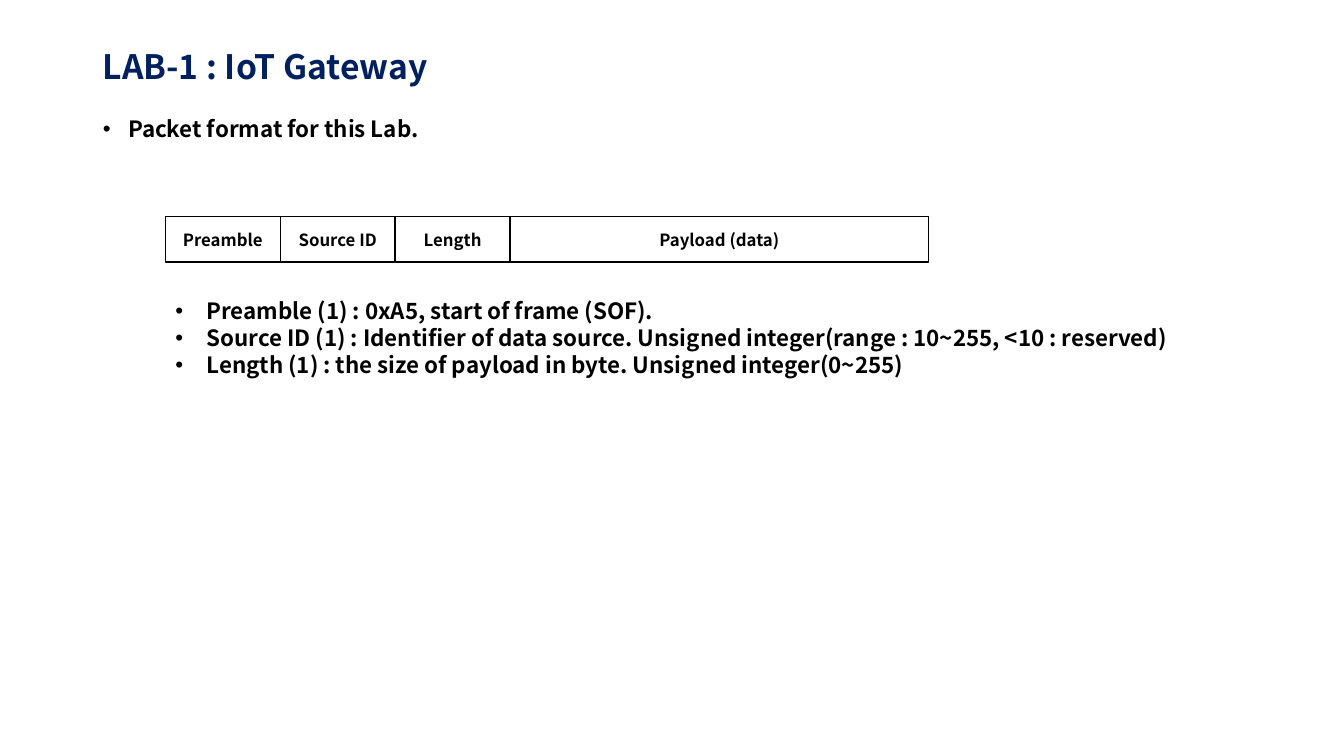
from lxml import etree
from pptx import Presentation
from pptx.dml.color import RGBColor
from pptx.enum.shapes import MSO_SHAPE
from pptx.enum.text import MSO_ANCHOR, MSO_AUTO_SIZE, PP_ALIGN
from pptx.oxml.ns import qn
from pptx.util import Inches, Pt

RECTANGLE = MSO_SHAPE.RECTANGLE
MIDDLE, TOP = MSO_ANCHOR.MIDDLE, MSO_ANCHOR.TOP
LEFT, CENTER = PP_ALIGN.LEFT, PP_ALIGN.CENTER
NO_FIT, GROW = MSO_AUTO_SIZE.NONE, MSO_AUTO_SIZE.SHAPE_TO_FIT_TEXT

FONT = "Noto Sans CJK KR"
COLORS = {"title": "002060", "text": "000000", "line": "000000", "field": "FFFFFF"}

SLIDE_W, SLIDE_H = 13.33, 7.5
MARGIN = 0.92
CONTENT_W = SLIDE_W - 2 * MARGIN
PACKET_LEFT = 1.64
BYTE_W = 1.14

# Each field with its width in one-byte columns
PACKET_FIELDS = [("Preamble", 1), ("Source ID", 1), ("Length", 1), ("Payload (data)", 3.64)]
FIELD_NOTES = [
    "Preamble (1) : 0xA5, start of frame (SOF).",
    "Source ID (1) : Identifier of data source. Unsigned integer(range : 10~255, <10 : reserved)",
    "Length (1) : the size of payload in byte. Unsigned integer(0~255)",
]


def color(role):
    return RGBColor.from_string(COLORS[role])


def place(shape, box):
    shape.left, shape.top, shape.width, shape.height = map(Inches, box)


def write(frame, lines, size, role="text", align=LEFT, anchor=TOP, spacing=1.0, before=0):
    frame.text = "\n".join(lines)
    frame.vertical_anchor = anchor
    for paragraph in frame.paragraphs:
        paragraph.alignment = align
        paragraph.line_spacing = spacing
        paragraph.space_before = Pt(before)
        font = paragraph.font
        font.name, font.size, font.bold = FONT, Pt(size), True
        font.color.rgb = color(role)


def add_bullets(frame, indent):
    for paragraph in frame.paragraphs:
        properties = paragraph._p.get_or_add_pPr()
        properties.set("marL", str(Inches(indent)))
        properties.set("indent", str(-Inches(indent)))
        bullet_font = etree.Element(qn("a:buFont"), typeface="Arial")
        bullet = etree.Element(qn("a:buChar"), char="•")
        default_run = properties.find(qn("a:defRPr"))
        default_run.addprevious(bullet_font)
        default_run.addprevious(bullet)


def fill_title(title, box):
    place(title, box)
    title.text_frame.auto_size = NO_FIT
    write(title.text_frame, ["LAB-1 : IoT Gateway"], 24, "title", anchor=MIDDLE, spacing=0.9)


def fill_body(body, box):
    place(body, box)
    body.text_frame.auto_size = NO_FIT
    write(body.text_frame, ["Packet format for this Lab."], 16, spacing=0.9, before=10)
    add_bullets(body.text_frame, 0.25)


def draw_packet(slide, box):
    left, top, width, height = box
    column = width / sum(span for _, span in PACKET_FIELDS)
    for name, span in PACKET_FIELDS:
        field = slide.shapes.add_shape(
            RECTANGLE, *map(Inches, (left, top, column * span, height)))
        field.shadow.inherit = False
        field.fill.solid()
        field.fill.fore_color.rgb = color("field")
        field.line.color.rgb = color("line")
        field.line.width = Pt(1)
        write(field.text_frame, [name], 12, align=CENTER, anchor=MIDDLE)
        left += column * span


def add_field_notes(slide, box):
    frame = slide.shapes.add_textbox(*map(Inches, box)).text_frame
    frame.word_wrap = False
    frame.auto_size = GROW
    write(frame, FIELD_NOTES, 16)
    add_bullets(frame, 0.31)


def build_packet_slide(deck):
    slide = deck.slides.add_slide(deck.slide_layouts[1])
    fill_title(slide.shapes.title, (MARGIN, 0.45, CONTENT_W, 0.47))
    fill_body(slide.placeholders[1], (MARGIN, 1.12, CONTENT_W, 5.64))
    packet_w = BYTE_W * sum(span for _, span in PACKET_FIELDS)
    draw_packet(slide, (PACKET_LEFT, 2.15, packet_w, 0.45))
    add_field_notes(slide, (PACKET_LEFT, 2.9, 10.21, 0.91))


def main():
    deck = Presentation()
    deck.slide_width, deck.slide_height = Inches(SLIDE_W), Inches(SLIDE_H)
    build_packet_slide(deck)
    deck.save("out.pptx")


if __name__ == "__main__":
    main()
